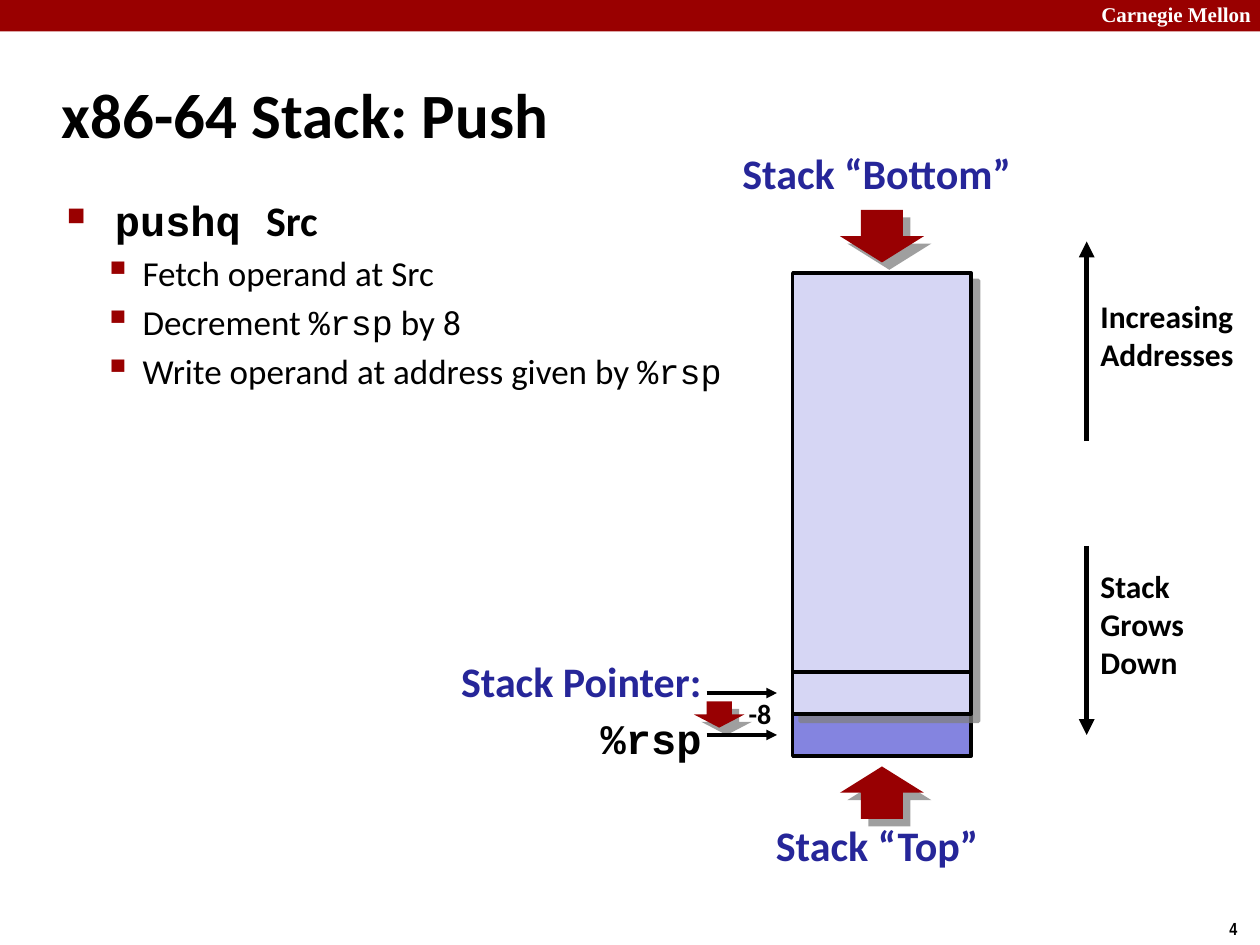
from lxml import etree
from pptx import Presentation
from pptx import util as u
from pptx.dml.color import RGBColor
from pptx.enum import shapes, text
from pptx.oxml import parse_xml
from pptx.oxml.ns import nsdecls, qn

RED = RGBColor(0x99, 0x00, 0x00)
ARROW_RED = RGBColor(0x98, 0x00, 0x02)
BLUE = RGBColor(0x26, 0x26, 0x99)
LILAC = RGBColor(0xD6, 0xD6, 0xF4)
VIOLET = RGBColor(0x84, 0x84, 0xE0)
BLACK = RGBColor(0, 0, 0)
WHITE = RGBColor(0xFF, 0xFF, 0xFF)
SANS, MONO, SERIF, NARROW = "Calibri", "Courier New", "Times New Roman", "Arial Narrow"

COLS, ROWS = 120, 90
WIDTH, HEIGHT = u.Inches(10), u.Inches(7.5)
STACK_X, STACK_W = 75.5, 17
ARROW_X, POINTER_X, POINTER_END = 103.5, 67.3, 74

TITLE = "x86-64 Stack: Push"
BULLETS = [
    (0, [("pushq ", MONO), ("Src", SANS)]),
    (1, [("Fetch operand at Src", SANS)]),
    (1, [("Decrement ", SANS), ("%rsp", MONO), (" by 8", SANS)]),
    (1, [("Write operand at address given by ", SANS), ("%rsp", MONO)]),
]
LEVELS = [
    dict(char="■", pct=60, left=0.38, hang=0.38, size=24, bold=True, before=0),
    dict(char="▪", pct=110, left=0.6, hang=0.31, size=20, bold=False, before=4),
]
BLOCKS = [
    (68, 4, VIOLET, False),
    (26, 42, LILAC, True),
]
LINES = [
    (POINTER_X, 66, POINTER_END, 66, 2, True),
    (POINTER_X, 70, POINTER_END, 70, 2, True),
    (STACK_X, 64, STACK_X + STACK_W, 64, 2, False),
    (ARROW_X, 42, ARROW_X, 23, 3, True),
    (ARROW_X, 52, ARROW_X, 70, 3, True),
]
DOWN, UP = shapes.MSO_SHAPE.DOWN_ARROW, shapes.MSO_SHAPE.UP_ARROW
BLOCK_ARROWS = [
    (DOWN, 66.1, 66.8, 4.8, 2.5),
    (DOWN, 80, 20, 8, 5),
    (UP, 80, 73, 8, 5),
]
LABELS = [
    (["Stack “Bottom”"], 70.7, 14, 26.8, 5.9, 24, BLUE),
    (["Stack “Top”"], 73.9, 78, 20.4, 5.9, 24, BLUE),
    (["Increasing", "Addresses"], 104.8, 28.3, 13.6, 8.3, 18, BLACK),
    (["Stack", "Grows", "Down"], 104.8, 54, 10.7, 12, 18, BLACK),
    (["-8"], 71.3, 66.3, 2.3, 3.2, 16, BLACK),
]

prs = Presentation()
prs.slide_width, prs.slide_height = WIDTH, HEIGHT
s = prs.slides.add_slide(prs.slide_layouts[6])


def grid(x, y):
    return int(x * WIDTH / COLS), int(y * HEIGHT / ROWS)


def style(font, name, size, color, bold=True):
    font.name, font.size, font.bold = name, u.Pt(size), bold
    font.color.rgb = color


def add_text(lines, x, y, w, h, size, color, name=SANS, inset=0, wrap=False):
    tf = s.shapes.add_textbox(*grid(x, y), *grid(w, h)).text_frame
    tf.margin_left = tf.margin_right = u.Inches(inset)
    tf.margin_top = tf.margin_bottom = u.Inches(inset / 2)
    tf.word_wrap = wrap
    tf.text = "\n".join(lines)
    for p in tf.paragraphs:
        for r in p.runs:
            style(r.font, name, size, color)
    return tf


def add_shape(kind, x, y, w, h, fill, outline=False, shadow=False):
    sp = s.shapes.add_shape(kind, *grid(x, y), *grid(w, h))
    sp.shadow.inherit = False
    sp.fill.solid()
    sp.fill.fore_color.rgb = fill
    if outline:
        sp.line.color.rgb, sp.line.width = BLACK, u.Pt(2)
    else:
        sp.line.fill.background()
    if shadow:
        effects = sp._element.spPr.find(qn("a:effectLst"))
        effects.append(parse_xml(
            f'<a:outerShdw {nsdecls("a")} dist="{u.Pt(6)}" dir="2700000" algn="ctr" rotWithShape="0">'
            '<a:srgbClr val="808080"><a:alpha val="75000"/></a:srgbClr></a:outerShdw>'))
    return sp


def add_line(x1, y1, x2, y2, width, arrow):
    cx = s.shapes.add_connector(shapes.MSO_CONNECTOR.STRAIGHT, *grid(x1, y1), *grid(x2, y2))
    cx.line.color.rgb, cx.line.width = BLACK, u.Pt(width)
    if arrow:
        etree.SubElement(cx.line._get_or_add_ln(), qn("a:tailEnd"), type="triangle")
    etree.SubElement(cx._element.spPr, qn("a:effectLst"))


def add_bullet(p, level, parts):
    look = LEVELS[level]
    p.level = level
    pPr = p._p.get_or_add_pPr()
    pPr.set("marL", str(u.Inches(look["left"])))
    pPr.set("indent", str(-u.Inches(look["hang"])))
    color = etree.SubElement(pPr, qn("a:buClr"))
    etree.SubElement(color, qn("a:srgbClr"), val=str(RED))
    etree.SubElement(pPr, qn("a:buSzPct"), val=str(look["pct"] * 1000))
    etree.SubElement(pPr, qn("a:buChar"), char=look["char"])
    if look["before"]:
        p.space_before = u.Pt(look["before"])
    for words, name in parts:
        r = p.add_run()
        r.text = words
        style(r.font, name, look["size"], BLACK, look["bold"])


add_shape(shapes.MSO_SHAPE.RECTANGLE, 0, 0, COLS, 3, RED)
add_text(["Carnegie Mellon"], 103.7, -0.4, 17.2, 3.6, 12, WHITE, SERIF, 0.1)
add_text(["4"], 115.9, 86.8, 4.1, 3.2, 10, BLACK, NARROW, 0.1)
title = add_text([TITLE], 4.7, 5.8, 99.6, 10, 36, BLACK, inset=0.1, wrap=True)
title.vertical_anchor = text.MSO_ANCHOR.MIDDLE

body = add_text([], 5.2, 17.9, 103.7, 65.3, 24, BLACK, inset=0.1, wrap=True)
for i, (level, parts) in enumerate(BULLETS):
    add_bullet(body.add_paragraph() if i else body.paragraphs[0], level, parts)

for y, h, fill, shadow in BLOCKS:
    add_shape(shapes.MSO_SHAPE.RECTANGLE, STACK_X, y, STACK_W, h, fill, True, shadow)
for kind, x, y, w, h in BLOCK_ARROWS:
    add_shape(kind, x, y, w, h, ARROW_RED, shadow=True)
for line in LINES:
    add_line(*line)
for label in LABELS:
    add_text(*label)

pointer = add_text(["Stack Pointer:", "%rsp"], 33.4, 62.4, 33.4, 9.6, 24, BLUE, wrap=True)
for p in pointer.paragraphs:
    p.alignment = text.PP_ALIGN.RIGHT
register = pointer.paragraphs[1]
register.space_before = u.Pt(4)
style(register.runs[0].font, MONO, 24, BLACK)

prs.save("out.pptx")
